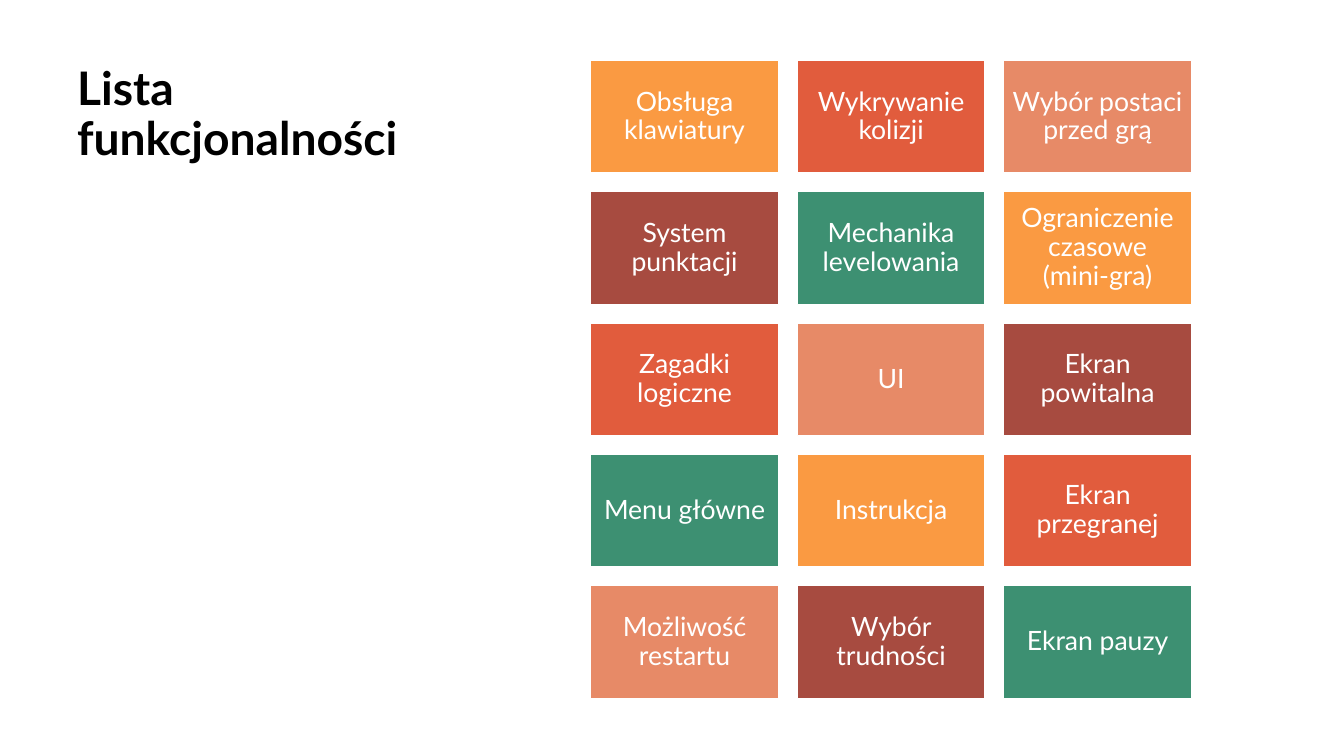
from pptx import Presentation
from pptx.dml.color import RGBColor
from pptx.enum.shapes import MSO_SHAPE as Shape
from pptx.enum.text import MSO_ANCHOR as Anchor, PP_ALIGN as Align
from pptx.util import Pt

FONT = "Lato"
WHITE = "FFFFFF"
TILE_COLORS = ["FA9A42", "E15C3D", "E78A67", "A74B40", "3D9072"]
FEATURES = [
    "Obsługa klawiatury", "Wykrywanie kolizji", "Wybór postaci przed grą",
    "System punktacji", "Mechanika levelowania", "Ograniczenie czasowe (mini-gra)",
    "Zagadki logiczne", "UI", "Ekran powitalna",
    "Menu główne", "Instrukcja", "Ekran przegranej",
    "Możliwość restartu", "Wybór trudności", "Ekran pauzy",
]

# Tile grid, in points
COLUMNS = 3
GRID_LEFT, GRID_TOP = 422, 43.2
TILE_WIDTH, TILE_HEIGHT = 134, 80.5
COLUMN_STEP, ROW_STEP = 147.5, 93.8
TILE_INSET = 5.7


def color(hex_string):
    return RGBColor.from_string(hex_string)


def write_text(shape, text, size, hex_string, align, anchor, bold=False):
    frame = shape.text_frame
    frame.word_wrap = True
    frame.vertical_anchor = anchor
    paragraph = frame.paragraphs[0]
    paragraph.alignment = align
    paragraph.line_spacing = 0.9
    run = paragraph.add_run()
    run.text = text
    run.font.name = FONT
    run.font.size = Pt(size)
    run.font.bold = bold
    run.font.color.rgb = color(hex_string)


def add_title(slide, text):
    box = slide.shapes.add_textbox(Pt(48), Pt(43.2), Pt(275), Pt(456))
    write_text(box, text, 33, "000000", Align.LEFT, Anchor.TOP, bold=True)


def add_tile(slide, left, top, text, fill):
    tile = slide.shapes.add_shape(
        Shape.RECTANGLE, Pt(left), Pt(top), Pt(TILE_WIDTH), Pt(TILE_HEIGHT))
    tile.shadow.inherit = False
    tile.fill.solid()
    tile.fill.fore_color.rgb = color(fill)
    tile.line.color.rgb = color(WHITE)
    tile.line.width = Pt(1)
    frame = tile.text_frame
    frame.margin_left = frame.margin_right = Pt(TILE_INSET)
    frame.margin_top = frame.margin_bottom = Pt(TILE_INSET)
    write_text(tile, text, 19, WHITE, Align.CENTER, Anchor.MIDDLE)


def main():
    presentation = Presentation()
    presentation.slide_width, presentation.slide_height = Pt(960), Pt(540)
    slide = presentation.slides.add_slide(presentation.slide_layouts[6])

    add_title(slide, "Lista funkcjonalności")

    # Feature tiles, row by row, with the colours in rotation
    for index, feature in enumerate(FEATURES):
        row, column = divmod(index, COLUMNS)
        add_tile(slide, GRID_LEFT + column * COLUMN_STEP, GRID_TOP + row * ROW_STEP,
                 feature, TILE_COLORS[index % len(TILE_COLORS)])

    presentation.save("out.pptx")


if __name__ == "__main__":
    main()
